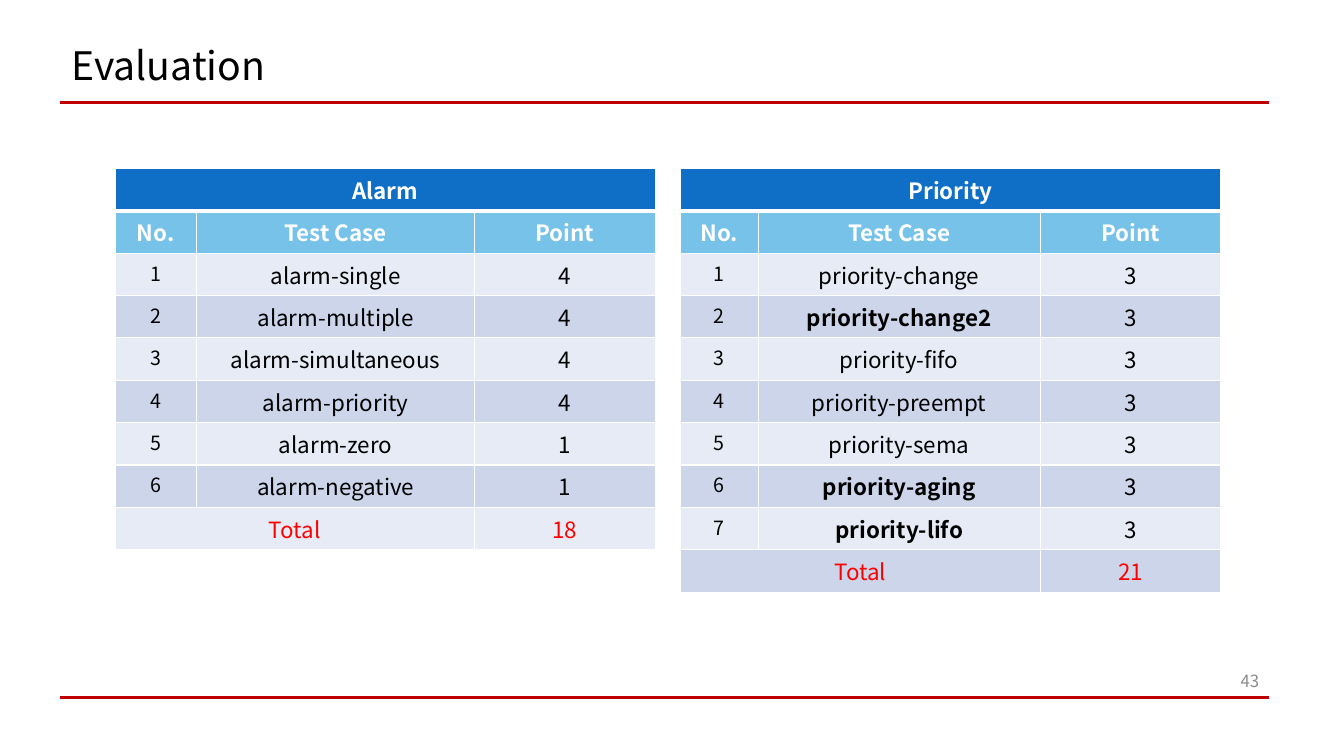
from dataclasses import dataclass

from lxml.etree import SubElement as Sub
from pptx import Presentation
from pptx.dml.color import RGBColor as Rgb
from pptx.enum.shapes import MSO_CONNECTOR as Link
from pptx.enum.text import MSO_ANCHOR as Anchor, MSO_AUTO_SIZE as Fit, PP_ALIGN as Align
from pptx.oxml.ns import qn
from pptx.slide import Slide
from pptx.table import _Cell as Cell
from pptx.text.text import TextFrame as Frame
from pptx.util import Inches, Pt

WIDE, TALL = Inches(13.333), Inches(7.5)


@dataclass(frozen=True)
class Theme:
    """Font, colours and type sizes."""
    font: str = "Noto Sans CJK KR"
    ink: str = "000000"
    rule: str = "C00000"
    page: str = "8C8C8C"
    white: str = "FFFFFF"
    head: str = "0F6FC6"
    label: str = "77C2E8"
    bands: tuple[str, str] = ("E7EBF5", "CCD5EA")
    total: str = "FF0000"
    title_pt: int = 28
    body_pt: int = 16
    index_pt: int = 14
    page_pt: int = 12


@dataclass(frozen=True)
class Score:
    """One score table; left and index width are per cent of the slide."""
    name: str
    left: float
    index: float
    tests: tuple[tuple[str, int], ...]
    bold: tuple[str, ...] = ()


THEME = Theme()
TOP, WIDTH, POINT, ROW, SPACE = 22.27, 40.2, 13.43, 3.2, 4.89
SCORES = (
    Score("Alarm", 8.55, 6.08, (
        ("alarm-single", 4), ("alarm-multiple", 4), ("alarm-simultaneous", 4),
        ("alarm-priority", 4), ("alarm-zero", 1), ("alarm-negative", 1))),
    Score("Priority", 50.63, 5.78, (
        ("priority-change", 3), ("priority-change2", 3), ("priority-fifo", 3),
        ("priority-preempt", 3), ("priority-sema", 3), ("priority-aging", 3),
        ("priority-lifo", 3)),
        ("priority-change2", "priority-aging", "priority-lifo")),
)


def across(share: float) -> int:
    """Turn per cent of the slide width into a length."""
    return round(WIDE * share / 100)


def down(share: float) -> int:
    """Turn per cent of the slide height into a length."""
    return round(TALL * share / 100)


def write(frame: Frame, text: str, *, size: int = THEME.body_pt,
          color: str = THEME.ink, bold: bool = False,
          align: Align = Align.CENTER, lead: float | None = None) -> None:
    """Put one formatted paragraph in a text frame."""
    para = frame.paragraphs[0]
    para.alignment = align
    para.line_spacing = lead
    run = para.add_run()
    run.text = text
    font = run.font
    font.name, font.size, font.bold = THEME.font, Pt(size), bold
    font.color.rgb = Rgb.from_string(color)


def edge(cell: Cell, **widths: float) -> None:
    """Draw white borders; widths in points override 1 by side (L, R, T, B)."""
    props = cell._tc.get_or_add_tcPr()
    for side in "LRTB":
        line = Sub(props, qn(f"a:ln{side}"), w=str(Pt(widths.get(side, 1))))
        Sub(Sub(line, qn("a:solidFill")), qn("a:srgbClr"), val=THEME.white)


def rule(slide: Slide, y: float) -> None:
    """Draw a red rule across the slide."""
    line = slide.shapes.add_connector(
        Link.STRAIGHT, across(4.43), down(y), across(94.43), down(y))
    line.line.color.rgb = Rgb.from_string(THEME.rule)
    line.line.width = Pt(2.25)
    Sub(line._element.spPr, qn("a:effectLst"))


def chart(slide: Slide, score: Score) -> None:
    """Draw one score table with its heading, labels, tests and total."""
    rows = [(score.name, "", ""), ("No.", "Test Case", "Point")]
    rows += [(str(i), *map(str, test)) for i, test in enumerate(score.tests, 1)]
    rows.append(("Total", "", str(sum(point for _, point in score.tests))))
    last = len(rows) - 1
    shape = slide.shapes.add_table(
        len(rows), 3, across(score.left), down(TOP), across(WIDTH),
        down(SPACE * len(rows)))
    table = shape.table
    table.first_row = table.horz_banding = False
    widths = (score.index, WIDTH - score.index - POINT, POINT)
    for col, width in zip(table.columns, widths):
        col.width = across(width)
    for r, row in enumerate(rows):
        table.rows[r].height = down(ROW)
        fill = (THEME.head, THEME.label)[r] if r < 2 else THEME.bands[r % 2]
        color = THEME.white if r < 2 else THEME.total if r == last else THEME.ink
        for c, text in enumerate(row):
            cell = table.cell(r, c)
            edge(cell, **({"B": 3} if r == 0 else {"T": 3} if r == 1 else {}))
            cell.fill.solid()
            cell.fill.fore_color.rgb = Rgb.from_string(fill)
            if text:
                small = c == 0 and 1 < r < last
                write(cell.text_frame, text, color=color,
                      size=THEME.index_pt if small else THEME.body_pt,
                      bold=r < 2 or text in score.bold)
    table.cell(0, 0).merge(table.cell(0, 2))
    table.cell(last, 0).merge(table.cell(last, 1))
    shape.height = down(SPACE * len(rows))


def build() -> None:
    """Build and save the slide."""
    deck = Presentation()
    deck.slide_width, deck.slide_height = WIDE, TALL
    slide = deck.slides.add_slide(deck.slide_layouts[5])
    for y in (13.6, 92.27):
        rule(slide, y)
    title = slide.shapes.title
    title.left, title.top = across(4.58), down(5.47)
    title.width, title.height = across(86.25), down(7.07)
    page = slide.shapes.add_textbox(
        across(90.75), down(87.33), across(3.68), down(5.33))
    for frame in (title.text_frame, page.text_frame):
        frame.word_wrap = True
        frame.auto_size = Fit.NONE
        frame.vertical_anchor = Anchor.MIDDLE
    write(title.text_frame, "Evaluation", size=THEME.title_pt,
          align=Align.LEFT, lead=0.9)
    write(page.text_frame, "43", size=THEME.page_pt, color=THEME.page,
          align=Align.RIGHT)
    for score in SCORES:
        chart(slide, score)
    deck.save("out.pptx")


build()
